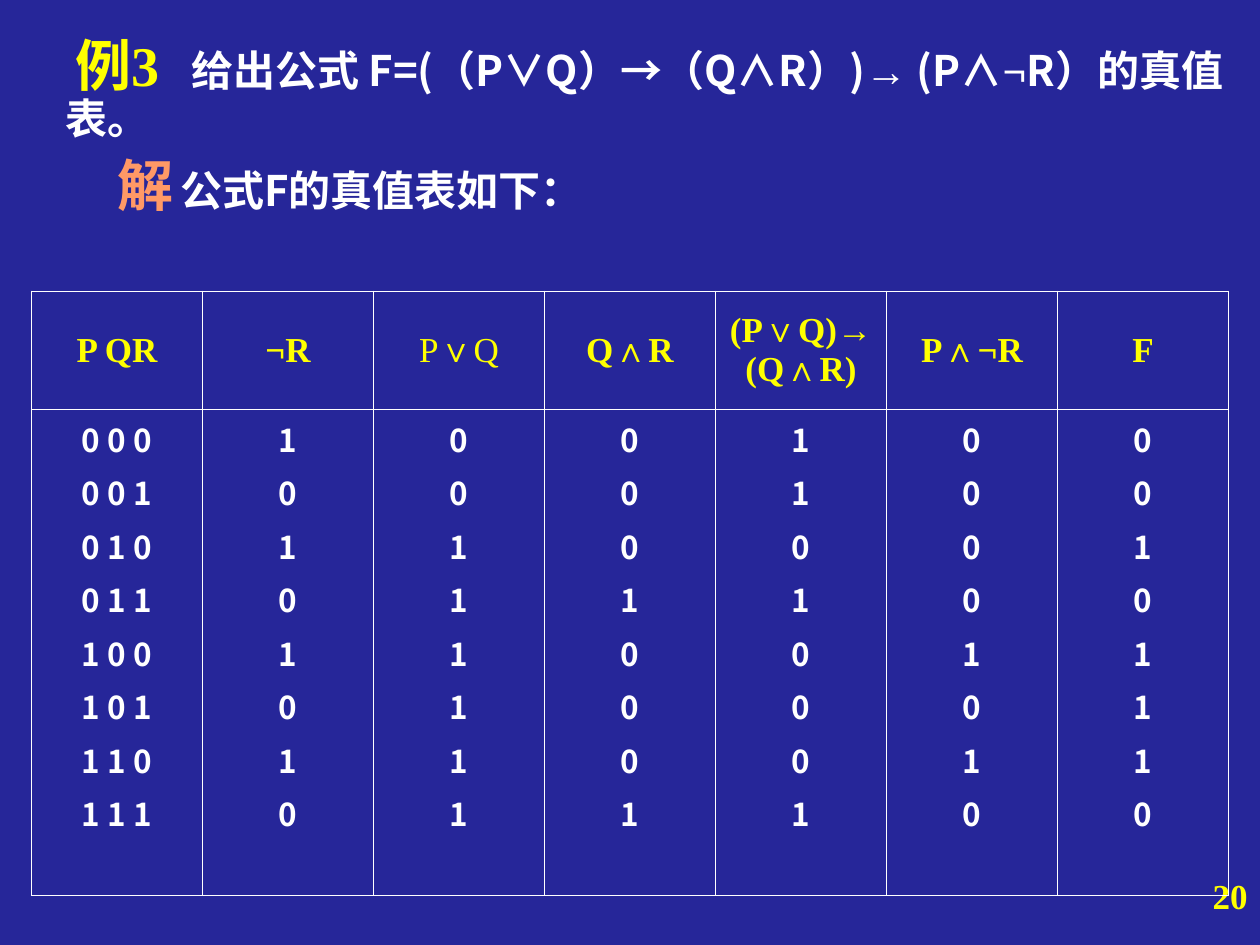
"""Build the truth table slide for Example 3."""
from lxml import etree
from pptx import Presentation
from pptx import util as u
from pptx.dml.color import RGBColor
from pptx.enum import text as t
from pptx.oxml.ns import qn

SANS, ROMAN, ARIAL = "Noto Sans CJK SC", "Times New Roman", "Arial"
WHITE, GOLD, CORAL, NAVY = "FFFFFF", "FFFF00", "FF9966", "262699"

TASK = [
    ("例3", 32, ROMAN, GOLD),
    ("\t给", 24, ROMAN, WHITE),
    ("出公式 F=(（P∨Q）", 24, SANS, WHITE),
    ("→", 24, ARIAL, WHITE),
    ("（Q∧R）)", 24, SANS, WHITE),
    ("→", 24, ARIAL, WHITE),
    (" (P∧", 24, SANS, WHITE),
    ("¬", 24, ROMAN, WHITE),
    ("R）的真值表。", 24, SANS, WHITE),
]
ANSWER = [("解", 32, SANS, CORAL), ("\t公式F的真值表如下：", 24, SANS, WHITE)]
PAGE = [("20", 20, ROMAN, GOLD)]
HEADS = ["P QR", "¬R", "P∨Q", "Q∧R", "(P∨Q)→(Q∧R)", "P∧¬R", "F"]
PLAIN = "P∨Q"
COLS = [
    ["0 0 0", "0 0 1", "0 1 0", "0 1 1", "1 0 0", "1 0 1", "1 1 0", "1 1 1"],
    "10101010", "00111111", "00010001", "11010001", "00001010", "00101110",
]
LEFT, TOP, WIDTH, HEIGHTS = 18, 166.25, 684, (67.75, 277.75)


def paint(color, value):
    color.rgb = RGBColor.from_string(value)


def style(run, size, face, color, bold=True):
    font = run.font
    font.size, font.name, font.bold = u.Pt(size), face, bold
    paint(font.color, color)
    etree.SubElement(run._r.rPr, qn("a:ea"), typeface=SANS)


def write(shape, place, runs, align=t.PP_ALIGN.LEFT, indent=0, stop=None):
    shape.left, shape.top, shape.width, shape.height = map(u.Pt, place)
    frame = shape.text_frame
    frame.word_wrap = True
    frame.auto_size = t.MSO_AUTO_SIZE.NONE
    frame.vertical_anchor = t.MSO_ANCHOR.TOP
    para = frame.paragraphs[0]
    para.alignment, para.line_spacing, para.space_before = align, 0.9, u.Pt(0)
    props = para._p.get_or_add_pPr()
    props.set("indent", str(u.Pt(indent)))
    if stop:
        tabs = etree.SubElement(props, qn("a:tabLst"))
        etree.SubElement(tabs, qn("a:tab"), pos=str(u.Pt(stop)), algn="l")
    for words, *look in runs:
        run = para.add_run()
        run.text = words
        style(run, *look)


def edge(cell):
    props = cell._tc.get_or_add_tcPr()
    for side in ("lnL", "lnR", "lnT", "lnB"):
        line = etree.SubElement(props, qn("a:" + side), w=str(u.Pt(0.45)))
        fill = etree.SubElement(line, qn("a:solidFill"))
        etree.SubElement(fill, qn("a:srgbClr"), val=WHITE)


def fill_cell(cell, lines, size, face, color, bold=True):
    edge(cell)
    cell.fill.background()
    cell.text_frame.text = "\n".join(lines)
    for i, para in enumerate(cell.text_frame.paragraphs):
        para.alignment = t.PP_ALIGN.CENTER
        para.space_before = u.Pt(4.5 if i else 0)
        style(para.runs[0], size, face, color, bold)


def add_truth(slide):
    frame = slide.shapes.add_table(
        2, len(HEADS), u.Pt(LEFT), u.Pt(TOP), u.Pt(WIDTH), u.Pt(sum(HEIGHTS)))
    table = frame.table
    table.first_row = table.horz_banding = False
    for row, height in zip(table.rows, HEIGHTS):
        row.height = u.Pt(height)
    for i, (head, vals) in enumerate(zip(HEADS, COLS)):
        table.columns[i].width = u.Pt(WIDTH / len(HEADS))
        top = table.cell(0, i)
        fill_cell(top, [head], 20, ROMAN, GOLD, head != PLAIN)
        top.vertical_anchor = t.MSO_ANCHOR.MIDDLE
        fill_cell(table.cell(1, i), vals, 18, SANS, WHITE)


def main():
    deck = Presentation()
    deck.slide_width, deck.slide_height = u.Pt(720), u.Pt(540)
    slide = deck.slides.add_slide(deck.slide_layouts[5])
    back = slide.background.fill
    back.solid()
    paint(back.fore_color, NAVY)
    shapes = slide.shapes
    write(shapes.title, (30, 18, 678, 75), TASK, indent=6, stop=102)
    boxes = [
        ((60, 86.5, 474, 46), ANSWER, t.PP_ALIGN.LEFT, 0, 43),
        ((636, 499, 84, 32), PAGE, t.PP_ALIGN.RIGHT),
    ]
    for place, *rest in boxes:
        write(shapes.add_textbox(0, 0, 0, 0), place, *rest)
    add_truth(slide)
    deck.save("out.pptx")


if __name__ == "__main__":
    main()
